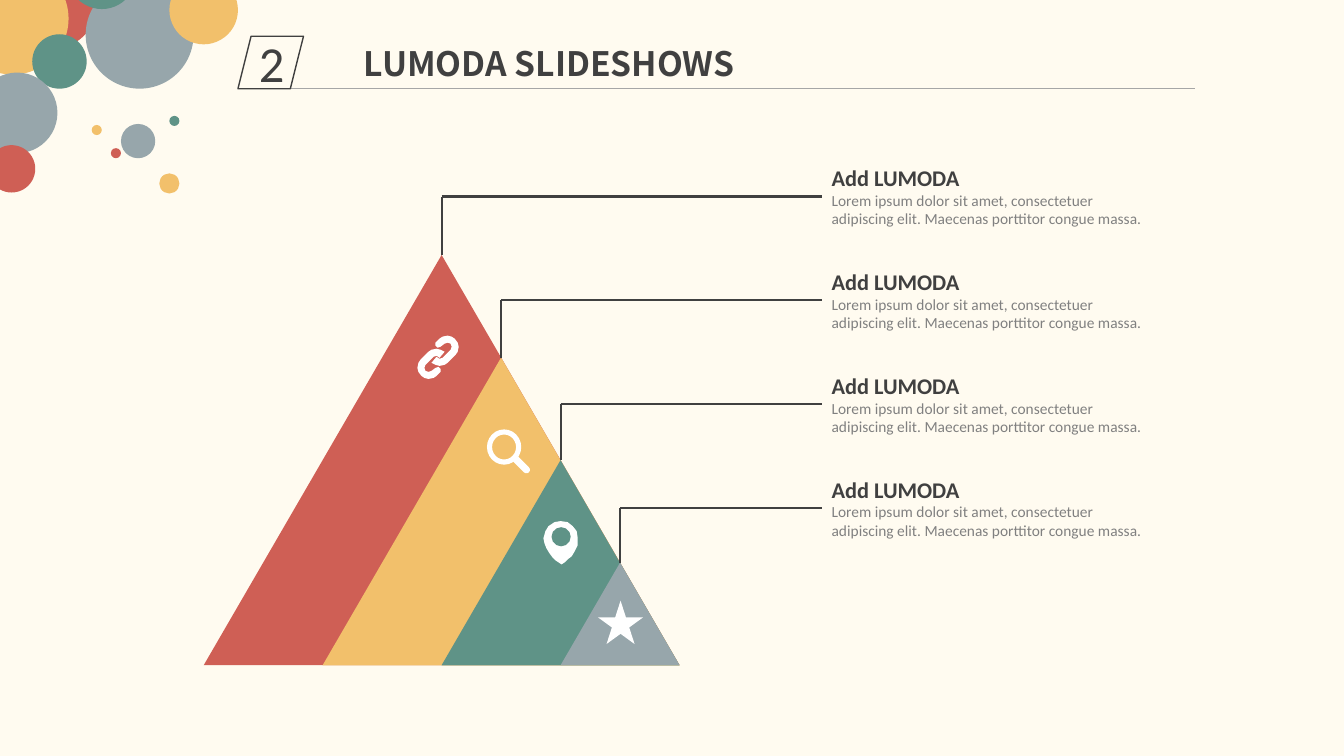
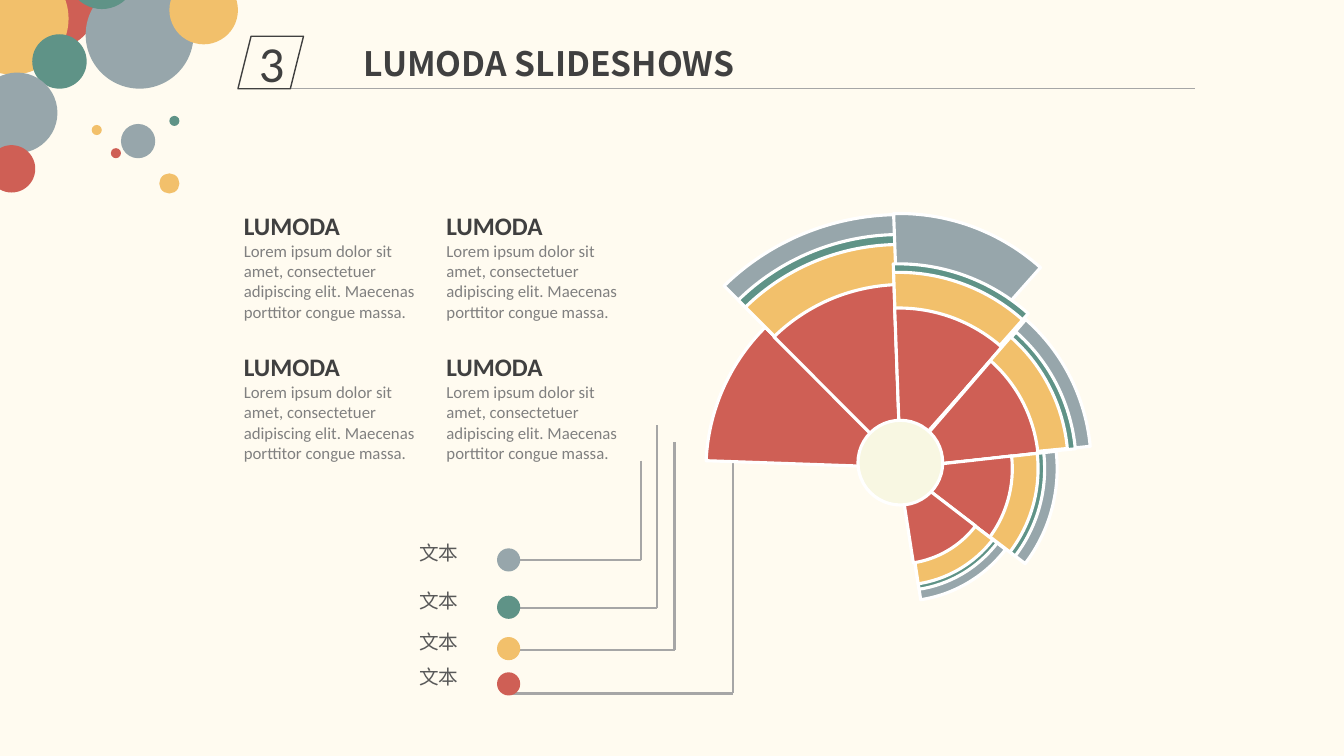
from lxml import etree
from pptx import Presentation
from pptx.dml.color import RGBColor
from pptx.enum import shapes, text
from pptx.oxml import ns
from pptx.util import Inches, Pt

CREAM = RGBColor(0xFF, 0xFB, 0xF0)
IVORY = RGBColor(0xF8, 0xF7, 0xE2)
WHITE = RGBColor(0xFF, 0xFF, 0xFF)
RED = RGBColor(0xCF, 0x5F, 0x55)
YELLOW = RGBColor(0xF2, 0xC0, 0x6B)
GREEN = RGBColor(0x5F, 0x93, 0x87)
GREY = RGBColor(0x97, 0xA6, 0xAB)
DARK = RGBColor(0x40, 0x40, 0x40)
LEGEND_TEXT = RGBColor(0x59, 0x59, 0x59)
MUTED = RGBColor(0x80, 0x80, 0x80)
RULE = RGBColor(0xA6, 0xA6, 0xA6)

BODY_FONT = "Calibri"
TITLE_FONT = "Noto Sans CJK SC"
TITLE = "LUMODA SLIDESHOWS"
LOREM = ("Lorem ipsum dolor sit amet, consectetuer adipiscing elit. "
         "Maecenas porttitor congue massa.")
SHAPE = shapes.MSO_SHAPE

BUBBLES = [
    (0.04, -0.44, 0.93, RED),
    (-0.43, -0.37, 1.11, YELLOW),
    (0.32, 0.34, 0.54, GREEN),
    (-0.23, 0.72, 0.8, GREY),
    (0.85, -0.19, 1.07, GREY),
    (0.67, -0.59, 0.68, GREEN),
    (-0.12, 1.44, 0.47, RED),
    (1.2, 1.23, 0.34, GREY),
    (1.1, 1.47, 0.1, RED),
    (0.91, 1.24, 0.1, YELLOW),
    (1.68, 1.15, 0.1, GREEN),
    (1.58, 1.72, 0.2, YELLOW),
    (1.68, -0.24, 0.68, YELLOW),
]

LINK_HALF = [
    (19, 13), (23, 14), (27, 16), (22, 22), (19, 20), (16, 21), (8, 29),
    (7, 32), (8, 35), (11, 36), (14, 35), (18, 32), (21, 31), (23, 33),
    (23, 36), (19, 40), (16, 42), (11, 43), (7, 42), (4, 40), (1, 36),
    (0, 32), (1, 27), (3, 24), (11, 16), (14, 14),
]
PIN = [
    (17, 0), (24, 1), (29, 5), (33, 10), (34, 17), (34, 24), (31, 30),
    (28, 35), (24, 38), (21, 41), (18, 43), (15, 41), (12, 39), (9, 36),
    (6, 32), (3, 27), (1, 22), (0, 17), (2, 10), (5, 5), (11, 1),
]

WEDGE_START, WEDGE_END = 130.5, 156.71
RING_COLOURS = [GREY, GREEN, YELLOW, RED]
WEDGES = [
    (324.5, 0.99, [(0.06, 0.05, 3.99)]),
    (7.6, 0.99, [(0, 0, 4.97), (0, 0, 4.57), (0, 0, 4.37), (0.03, 0.04, 3.65)]),
    (50.4, 0.99, [(0.01, -0.38, 4.2), (0, -0.05, 3.86), (0, -0.05, 3.69),
                  (0, 0, 3.08)]),
    (93.3, 0.99, [(0, 0.02, 3.82), (0, 0.03, 3.52), (0, 0.02, 3.36),
                  (-0.02, 0.05, 2.81)]),
    (136.1, 1, [(0, 0.06, 3.11), (0, 0.06, 2.86), (0, 0.06, 2.73),
                (-0.03, 0.06, 2.28)]),
    (180, 1, [(0, 0.06, 2.63), (0, 0.06, 2.42), (0, 0.06, 2.31),
              (-0.02, 0.04, 1.93)]),
]


def style(shape, fill=None, line=None, weight=2.25):
    shape.shadow.inherit = False
    if fill is None:
        shape.fill.background()
    else:
        shape.fill.solid()
        shape.fill.fore_color.rgb = fill
    if line is None:
        shape.line.fill.background()
    else:
        shape.line.color.rgb = line
        shape.line.width = Pt(weight)


def add_figure(parent, kind, left, top, width, height, fill=None, line=None, weight=2.25):
    shape = parent.shapes.add_shape(
        kind, Inches(left), Inches(top), Inches(width), Inches(height))
    style(shape, fill, line, weight)
    return shape


def add_outline(page, left, top, points):
    builder = page.shapes.build_freeform(*points[0], scale=Inches(0.01))
    builder.add_line_segments(points[1:])
    style(builder.convert_to_shape(Inches(left), Inches(top)), WHITE)


def add_path(page, points, colour, weight):
    for start, end in zip(points, points[1:]):
        line = page.shapes.add_connector(
            shapes.MSO_CONNECTOR.STRAIGHT, *(Inches(v) for v in start + end))
        line.line.color.rgb = colour
        line.line.width = Pt(weight)
        etree.SubElement(line._element.spPr, ns.qn("a:effectLst"))


def write(para, words, size, colour, font=BODY_FONT, bold=False):
    para.text = words
    para.font.size = Pt(size)
    para.font.name = font
    para.font.bold = bold
    para.font.color.rgb = colour
    defaults = para._p.pPr.find(ns.qn("a:defRPr"))
    etree.SubElement(defaults, ns.qn("a:ea")).set("typeface", font)


def add_text(page, left, top, width, height, wrap=True):
    box = page.shapes.add_textbox(
        Inches(left), Inches(top), Inches(width), Inches(height))
    box.text_frame.word_wrap = wrap
    return box.text_frame


def add_note(page, left, top, width, height, heading, heading_size, size):
    frame = add_text(page, left, top, width, height)
    write(frame.paragraphs[0], heading, heading_size, DARK, bold=True)
    write(frame.add_paragraph(), LOREM, size, MUTED)


def add_bubbles(page):
    group = page.shapes.add_group_shape()
    for left, top, size, colour in BUBBLES:
        add_figure(group, SHAPE.OVAL, left, top, size, size, colour)


def add_header(page, number, left, top):
    add_path(page, [(left + 0.48, top + 0.52), (left + 9.49, top + 0.52)], RULE, 0.5)
    badge = add_figure(page, SHAPE.PARALLELOGRAM, left, top, 0.65, 0.52, line=DARK, weight=1)
    badge.text_frame.vertical_anchor = text.MSO_ANCHOR.MIDDLE
    digit = badge.text_frame.paragraphs[0]
    digit.alignment = text.PP_ALIGN.CENTER
    write(digit, number, 36, DARK)

    title = page.shapes.title
    title.left, title.top = Inches(left + 1.15), Inches(top + 0.02)
    title.width, title.height = Inches(5.13), Inches(0.5)
    frame = title.text_frame
    frame.auto_size = text.MSO_AUTO_SIZE.NONE
    frame.vertical_anchor = text.MSO_ANCHOR.TOP
    frame.paragraphs[0].alignment = text.PP_ALIGN.LEFT
    write(frame.paragraphs[0], TITLE, 24, DARK, TITLE_FONT, True)


def add_page(deck, number):
    page = deck.slides.add_slide(deck.slide_layouts[5])
    add_bubbles(page)
    add_header(page, number, 2.36, 0.36)
    return page


def add_link_icon(page, left, top):
    add_outline(page, left, top, LINK_HALF)
    add_outline(page, left, top, [(41 - x, 43 - y) for x, y in LINK_HALF])


def add_lens_icon(page, left, top):
    ring = add_figure(page, SHAPE.DONUT, left, top, 0.34, 0.35, WHITE)
    ring.adjustments[0] = 0.15
    handle = add_figure(page, SHAPE.ROUNDED_RECTANGLE,
                        left + 0.22, top + 0.31, 0.23, 0.07, WHITE)
    handle.adjustments[0] = 0.5
    handle.rotation = 45


def add_pin_icon(page, left, top):
    add_outline(page, left, top, PIN)
    add_figure(page, SHAPE.OVAL, left + 0.08, top + 0.06, 0.19, 0.19, GREEN)


def add_star_icon(page, left, top):
    add_figure(page, SHAPE.STAR_5_POINT, left, top, 0.45, 0.43, WHITE)


def add_pyramid(page, left, top, width, height):
    label_left = left + 6.13
    colours = [RED, YELLOW, GREEN, GREY]
    for index, colour in enumerate(colours):
        share = 1 - index / len(colours)
        layer_left = left + width * (1 - share)
        layer_top = top + height * (1 - share)
        add_figure(page, SHAPE.ISOSCELES_TRIANGLE, layer_left, layer_top,
                   width * share, height * share, colour)
        apex = layer_left + width * share / 2
        label_top = top - 0.95 + 1.03 * index
        level = label_top + 0.37
        add_path(page, [(apex, layer_top), (apex, level), (label_left, level)], DARK, 1.5)
        add_note(page, label_left, label_top, 3.34, 0.74, "Add LUMODA", 16, 11)
    add_link_icon(page, left + 2.12, top + 0.8)
    add_lens_icon(page, left + 2.81, top + 1.73)
    add_pin_icon(page, left + 3.37, top + 2.64)
    add_star_icon(page, left + 3.91, top + 3.43)


def add_fan(page, hub_x, hub_y):
    for rotation, squash, rings in WEDGES:
        for (dx, dy, width), colour in zip(rings, RING_COLOURS[-len(rings):]):
            height = width * squash
            wedge = add_figure(page, SHAPE.PIE, hub_x + dx - width / 2,
                               hub_y + dy - height / 2, width, height, colour, WHITE)
            wedge.adjustments[0] = WEDGE_START
            wedge.adjustments[1] = WEDGE_END
            wedge.rotation = rotation
    add_figure(page, SHAPE.OVAL, hub_x - 0.42, hub_y - 0.42, 0.84, 0.84, IVORY, WHITE)


def add_legend(page, left, top):
    rows = [
        (0.23, 0.23, 2.3, -0.76, GREY),
        (0.7, 0.7, 2.46, -1.11, GREEN),
        (1.11, 1.12, 2.63, -0.94, YELLOW),
        (1.46, 1.55, 3.21, -1.1, RED),
    ]
    for middle, level, reach, rise, colour in rows:
        add_path(page, [(left + reach, top + rise), (left + reach, top + level),
                        (left + 0.99, top + level)], RULE, 1.5)
        add_figure(page, SHAPE.OVAL, left + 0.87, top + middle - 0.12, 0.23, 0.23, colour)
        frame = add_text(page, left, top + middle - 0.24, 0.59, 0.34, wrap=False)
        write(frame.paragraphs[0], "文本", 14, LEGEND_TEXT, TITLE_FONT)


def add_note_grid(page, left, top):
    for row in range(2):
        for column in range(2):
            add_note(page, left + 2.01 * column, top + 1.4 * row, 1.97, 1.21,
                     "LUMODA", 18, 12)


def build_pyramid_page(deck):
    add_pyramid(add_page(deck, "2"), 2.02, 2.53, 4.72, 4.07)


def build_fan_page(deck):
    page = add_page(deck, "3")
    add_legend(page, 4.06, 5.33)
    add_fan(page, 8.93, 4.59)
    add_note_grid(page, 2.32, 2.04)


def main():
    deck = Presentation()
    deck.slide_width, deck.slide_height = Inches(13.33), Inches(7.5)
    backdrop = deck.slide_master.background.fill
    backdrop.solid()
    backdrop.fore_color.rgb = CREAM
    build_pyramid_page(deck)
    build_fan_page(deck)
    deck.save("out.pptx")


if __name__ == "__main__":
    main()
